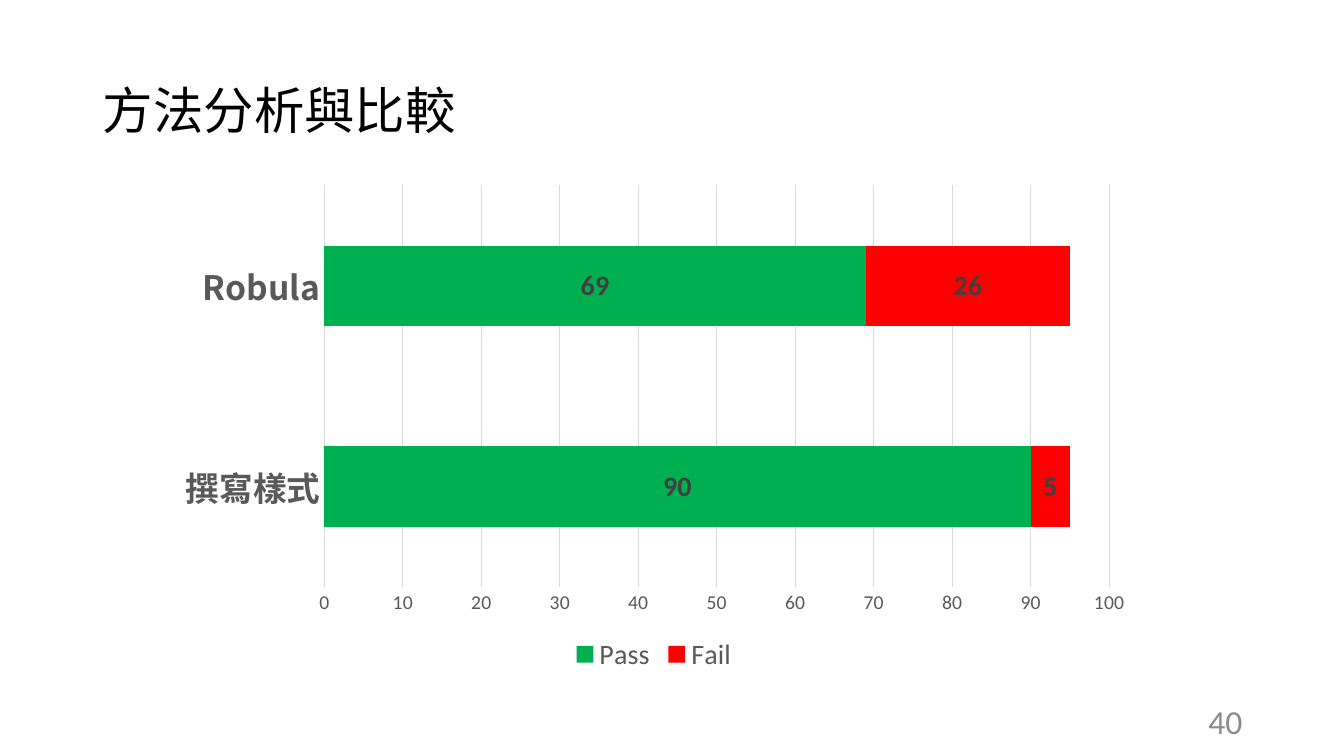
"""Build a slide with a stacked bar chart of passes and fails."""
from lxml import etree
from pptx import Presentation, util as u
from pptx.chart.data import CategoryChartData
from pptx.dml.color import RGBColor
from pptx.enum import chart as ch, text as tx
from pptx.oxml.ns import qn

WIDE, HIGH = 13.33, 7.5
HAN, LATIN = "Noto Sans CJK SC", "Calibri"
TITLE, PAGE = "方法分析與比較", "40"
CATS = ["撰寫樣式", "Robula"]
BARS = [("Pass", [90, 69], "00B050"), ("Fail", [5, 26], "FF0000")]
SPOTS = {"title": (0.92, 0.4, 11.5, 1.45),
         "chart": (1.68, 1.74, 9.61, 4.98),
         "page": (9.42, 6.95, 3, 0.4)}
PLOT = {"x": 0.16, "y": 0.02, "w": 0.81, "h": 0.8}


def rgb(code):
    return RGBColor.from_string(code)


def spot(name):
    return [u.Inches(n) for n in SPOTS[name]]


def style(font, size, code, face=LATIN, bold=False):
    font.size, font.name, font.bold = u.Pt(size), face, bold
    font.color.rgb = rgb(code)


def east(props):
    latin = props.find(qn("a:latin"))
    ea = etree.Element(qn("a:ea"), typeface=HAN)
    latin.addnext(ea)


def write(shape, words, size, code, face, align):
    frame = shape.text_frame
    frame.word_wrap = True
    frame.vertical_anchor = tx.MSO_ANCHOR.MIDDLE
    para = frame.paragraphs[0]
    para.alignment = align
    run = para.add_run()
    run.text = words
    style(run.font, size, code, face)
    return para, run


def place(chart):
    area = chart._chartSpace.chart.plotArea
    for old in area.findall(qn("c:layout")):
        area.remove(old)
    layout = etree.Element(qn("c:layout"))
    area.insert(0, layout)
    manual = etree.SubElement(layout, qn("c:manualLayout"))
    rules = {"layoutTarget": "inner", "xMode": "edge", "yMode": "edge", **PLOT}
    for tag, val in rules.items():
        etree.SubElement(manual, qn("c:" + tag), val=str(val))


def draw(slide):
    data = CategoryChartData()
    data.categories = CATS
    for name, vals, _ in BARS:
        data.add_series(name, vals)
    chart = slide.shapes.add_chart(
        ch.XL_CHART_TYPE.BAR_STACKED, *spot("chart"), data).chart
    style(chart.font, 14, "000000")
    chart.has_title = False
    chart.has_legend = True
    chart.legend.position = ch.XL_LEGEND_POSITION.BOTTOM
    chart.legend.include_in_layout = False
    style(chart.legend.font, 20, "595959")

    cat, val = chart.category_axis, chart.value_axis
    for axis in (cat, val):
        axis.major_tick_mark = axis.minor_tick_mark = ch.XL_TICK_MARK.NONE
        axis.format.line.fill.background()
    style(cat.tick_labels.font, 24, "595959", HAN, True)
    east(cat._element.find(".//" + qn("a:defRPr")))
    style(val.tick_labels.font, 14, "595959")
    val.minimum_scale, val.maximum_scale, val.major_unit = 0, 100, 10
    val.has_major_gridlines = True
    grid = val.major_gridlines.format.line
    grid.color.rgb, grid.width = rgb("D9D9D9"), u.Pt(0.75)
    cat.has_major_gridlines = False

    plot = chart.plots[0]
    plot.gap_width, plot.overlap, plot.vary_by_categories = 150, 100, False
    for bar, (_, _, code) in zip(plot.series, BARS):
        bar.format.fill.solid()
        bar.format.fill.fore_color.rgb = rgb(code)
        bar.data_labels.show_value = True
        style(bar.data_labels.font, 20, "404040", bold=True)
    place(chart)


def main():
    deck = Presentation()
    deck.slide_width, deck.slide_height = u.Inches(WIDE), u.Inches(HIGH)
    slide = deck.slides.add_slide(deck.slide_layouts[5])
    title = slide.shapes.title
    title.left, title.top, title.width, title.height = spot("title")
    para, run = write(title, TITLE, 36, "000000", HAN, tx.PP_ALIGN.LEFT)
    para.line_spacing = 0.9
    east(run.font._element)
    draw(slide)
    page = slide.shapes.add_textbox(*spot("page"))
    write(page, PAGE, 24, "8C8C8C", LATIN, tx.PP_ALIGN.RIGHT)
    deck.save("out.pptx")


if __name__ == "__main__":
    main()
